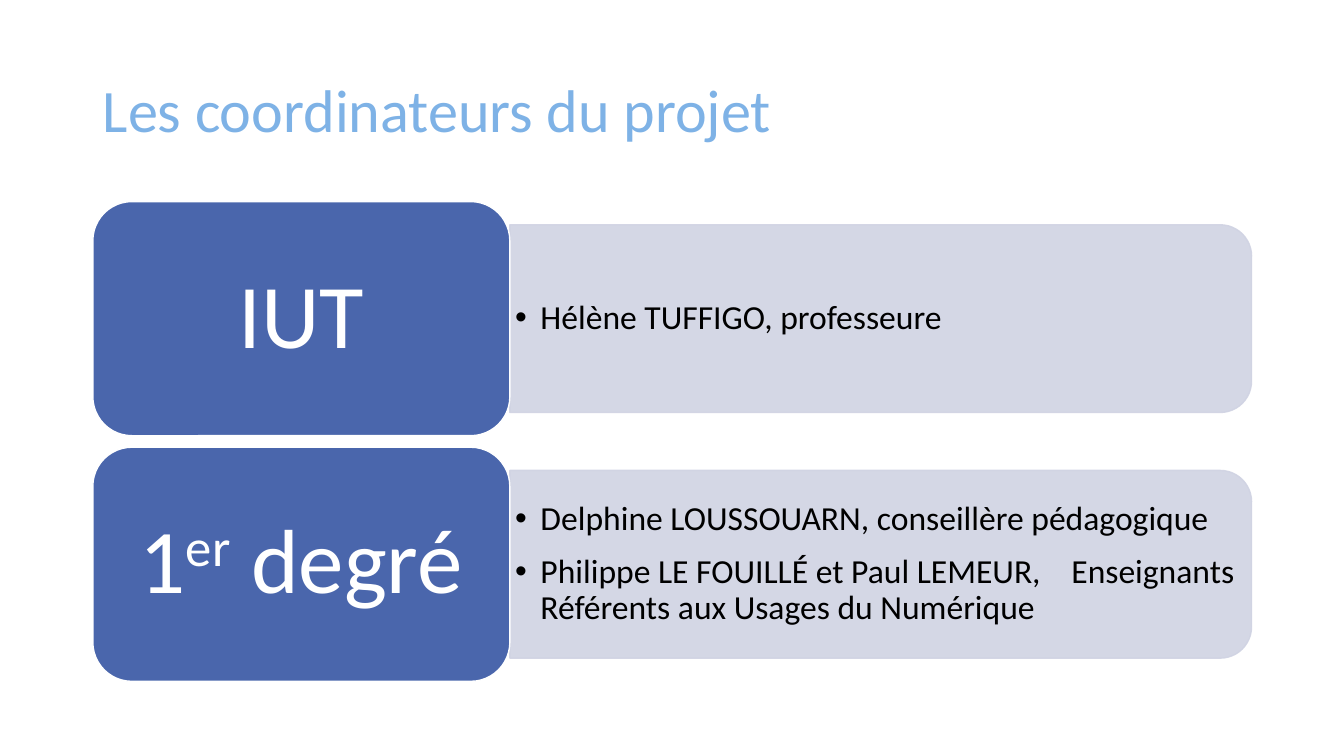
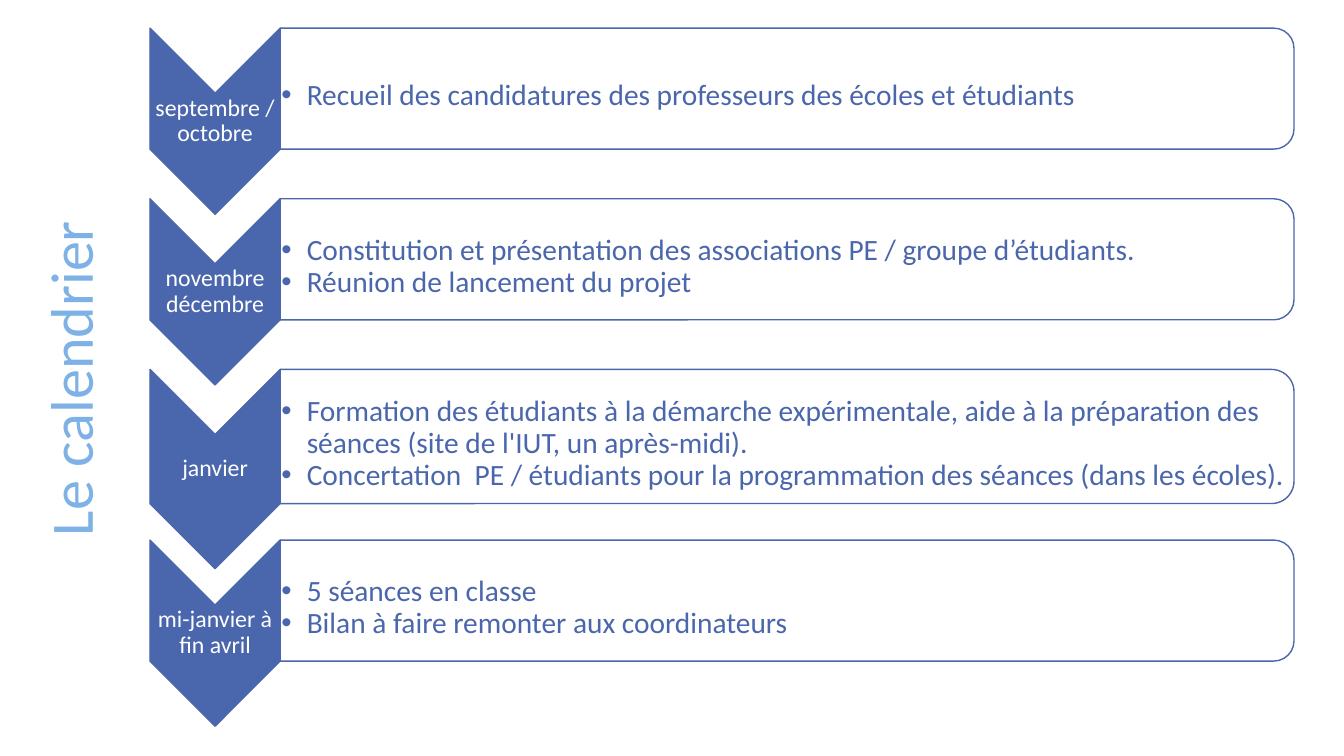
from dataclasses import dataclass

from lxml import etree
from pptx import Presentation
from pptx.dml.color import RGBColor
from pptx.enum.shapes import MSO_SHAPE
from pptx.enum.text import MSO_ANCHOR, PP_ALIGN
from pptx.oxml.ns import qn
from pptx.util import Cm, Pt

ROUNDED, CHEVRON = MSO_SHAPE.ROUNDED_RECTANGLE, MSO_SHAPE.CHEVRON
ROUNDED_END = MSO_SHAPE.ROUND_2_SAME_RECTANGLE
MIDDLE = MSO_ANCHOR.MIDDLE
LEFT, CENTER = PP_ALIGN.LEFT, PP_ALIGN.CENTER

COLORS = {"title": "7EB2E6", "blue": "4A66AC", "pale": "D0D3E3",
          "white": "FFFFFF", "black": "000000"}
FONT = "Calibri"
BULLET_INDENT = Cm(0.64)


@dataclass(frozen=True)
class Box:
    """Area covered on the slide, in centimetres."""
    left: float
    top: float
    width: float
    height: float


@dataclass(frozen=True)
class TextStyle:
    size: float
    color: str
    align: PP_ALIGN = CENTER
    bullet: bool = False
    gap: float = 0
    insets: tuple[float, float, float, float] = (0.25, 0.13, 0.25, 0.13)


@dataclass(frozen=True)
class ShapeStyle:
    kind: MSO_SHAPE
    adjustments: tuple[float, ...]
    fill: str
    line: str
    text: TextStyle
    rotation: int = 0
    fill_opacity: int = 100
    line_opacity: int = 100


@dataclass(frozen=True)
class Run:
    text: str
    attributes: tuple[tuple[str, str], ...] = ()


@dataclass(frozen=True)
class Row:
    label: list[list[Run]]
    details: list[list[Run]]
    height: float


def plain(*lines: str) -> list[list[Run]]:
    return [[Run(line)] for line in lines]


def wide_space(points: float) -> Run:
    """Single space widened by the given number of points."""
    return Run(" ", (("spc", str(round(points * 100))),))


TITLE_LEFT = TextStyle(43, "title", LEFT)
TITLE_CENTER = TextStyle(43, "title")

SECTOR_LABEL = ShapeStyle(
    ROUNDED, (0.167,), "blue", "white",
    TextStyle(65, "white", insets=(0.69, 0.36, 0.69, 0.36)))
SECTOR_PANEL = ShapeStyle(
    ROUNDED_END, (0.167, 0), "pale", "pale",
    TextStyle(24, "black", LEFT, bullet=True, gap=12),
    rotation=90, fill_opacity=90, line_opacity=90)
MONTH_LABEL = ShapeStyle(
    CHEVRON, (0.5,), "blue", "blue",
    TextStyle(17, "white", insets=(0.03, 0.03, 0.03, 0.03)), rotation=90)
MONTH_PANEL = ShapeStyle(
    ROUNDED_END, (0.167, 0), "white", "blue",
    TextStyle(21, "blue", LEFT, bullet=True, insets=(0.41, 0.03, 0.03, 0.03)),
    rotation=90, fill_opacity=90)

SECTORS = [
    Row(plain("IUT"), plain("Hélène TUFFIGO, professeure"), 4.73),
    Row([[Run("1"), Run("er", (("baseline", "30000"),)), Run(" degré")]],
        plain("Delphine LOUSSOUARN, conseillère pédagogique")
        + [[Run("Philippe LE FOUILLÉ et Paul LEMEUR,"), wide_space(16.3),
            Run("Enseignants Référents aux Usages du Numérique")]], 4.73),
]
MONTHS = [
    Row(plain("septembre / octobre"),
        plain("Recueil des candidatures des professeurs des écoles et étudiants"), 3.05),
    Row(plain("novembre", "décembre"),
        plain("Constitution et présentation des associations PE / groupe d’étudiants.",
              "Réunion de lancement du projet"), 3.05),
    Row(plain("janvier"),
        plain("Formation des étudiants à la démarche expérimentale, aide à la préparation "
              "des séances (site de l'IUT, un après-midi).")
        + [[Run("Concertation"), wide_space(4.75),
            Run("PE / étudiants pour la programmation des séances (dans les écoles).")]], 3.38),
    Row(plain("mi-janvier à fin avril"),
        plain("5 séances en classe", "Bilan à faire remonter aux coordinateurs"), 3.05),
]


def rgb(name: str) -> RGBColor:
    return RGBColor.from_string(COLORS[name])


def frame(box: Box, rotation: int) -> list[Cm]:
    """Return the unrotated frame that covers the box once turned."""
    width, height = (box.height, box.width) if rotation % 180 else (box.width, box.height)
    left = box.left + (box.width - width) / 2
    top = box.top + (box.height - height) / 2
    return [Cm(value) for value in (left, top, width, height)]


def set_opacity(fill, percent: int) -> None:
    if percent < 100:
        color = fill._xPr.find(f"{qn('a:solidFill')}/{qn('a:srgbClr')}")
        etree.SubElement(color, qn("a:alpha"), val=str(percent * 1000))


def add_bullet(paragraph) -> None:
    properties = paragraph._p.get_or_add_pPr()
    properties.set("marL", str(BULLET_INDENT))
    properties.set("indent", str(-BULLET_INDENT))
    etree.SubElement(properties, qn("a:buFont"), typeface="Arial")
    etree.SubElement(properties, qn("a:buChar"), char="•")


def write_text(shape, paragraphs: list[list[Run]], style: TextStyle) -> None:
    text_frame = shape.text_frame
    left, top, right, bottom = (Cm(inset) for inset in style.insets)
    frame_format = {"word_wrap": True, "vertical_anchor": MIDDLE,
                    "margin_left": left, "margin_top": top,
                    "margin_right": right, "margin_bottom": bottom}
    for name, value in frame_format.items():
        setattr(text_frame, name, value)
    for index, runs in enumerate(paragraphs):
        paragraph = text_frame.add_paragraph() if index else text_frame.paragraphs[0]
        is_last = index == len(paragraphs) - 1
        paragraph_format = {"alignment": style.align, "line_spacing": 0.9,
                            "space_before": Pt(0),
                            "space_after": Pt(0 if is_last else style.gap)}
        for name, value in paragraph_format.items():
            setattr(paragraph, name, value)
        if style.bullet:
            add_bullet(paragraph)
        for part in runs:
            run = paragraph.add_run()
            run.text = part.text
            for name, value in {"name": FONT, "size": Pt(style.size)}.items():
                setattr(run.font, name, value)
            run.font.color.rgb = rgb(style.color)
            for name, value in part.attributes:
                run._r.get_or_add_rPr().set(name, value)


def add_title(slide, text: str, box: Box, style: TextStyle, rotation: int = 0) -> None:
    title = slide.shapes.add_textbox(*frame(box, rotation))
    title.rotation = rotation
    write_text(title, plain(text), style)


def add_block(slide, box: Box, style: ShapeStyle, paragraphs: list[list[Run]]) -> None:
    shape = slide.shapes.add_shape(style.kind, *frame(box, style.rotation))
    shape.rotation = style.rotation
    shape.shadow.inherit = False
    for index, value in enumerate(style.adjustments):
        shape.adjustments[index] = value
    shape.fill.solid()
    shape.fill.fore_color.rgb = rgb(style.fill)
    set_opacity(shape.fill, style.fill_opacity)
    shape.line.color.rgb = rgb(style.line)
    shape.line.width = Pt(1)
    set_opacity(shape.line.fill, style.line_opacity)
    write_text(shape, paragraphs, style.text)
    if style.rotation:
        shape.text_frame._txBody.bodyPr.set("vert", "vert270")


def build_coordinators(slide) -> None:
    add_title(slide, "Les coordinateurs du projet", Box(2.34, 1.02, 29.21, 3.68), TITLE_LEFT)
    left, first_top, pitch = 2.34, 5.08, 6.19
    label_width, label_height, panel_width = 10.51, 5.9, 18.69
    for index, row in enumerate(SECTORS):
        top = first_top + index * pitch
        panel_top = top + (label_height - row.height) / 2
        add_block(slide, Box(left + label_width, panel_top, panel_width, row.height),
                  SECTOR_PANEL, row.details)
        add_block(slide, Box(left, top, label_width, label_height), SECTOR_LABEL, row.label)


def build_calendar(slide) -> None:
    add_title(slide, "Le calendrier", Box(0.01, 3.7, 3.68, 11.68), TITLE_CENTER, 270)
    left, first_top, pitch = 3.78, 0.71, 4.3
    label_width, panel_width = 3.28, 25.55
    for index, row in enumerate(MONTHS):
        top = first_top + index * pitch
        point_height = label_width / 2
        add_block(slide, Box(left, top, label_width, row.height + point_height),
                  MONTH_LABEL, row.label)
        add_block(slide, Box(left + label_width, top, panel_width, row.height),
                  MONTH_PANEL, row.details)


def main() -> None:
    presentation = Presentation()
    presentation.slide_width = Cm(33.87)
    presentation.slide_height = Cm(19.05)
    blank_layout = presentation.slide_layouts[6]
    for build in (build_coordinators, build_calendar):
        build(presentation.slides.add_slide(blank_layout))
    presentation.save("out.pptx")


if __name__ == "__main__":
    main()
